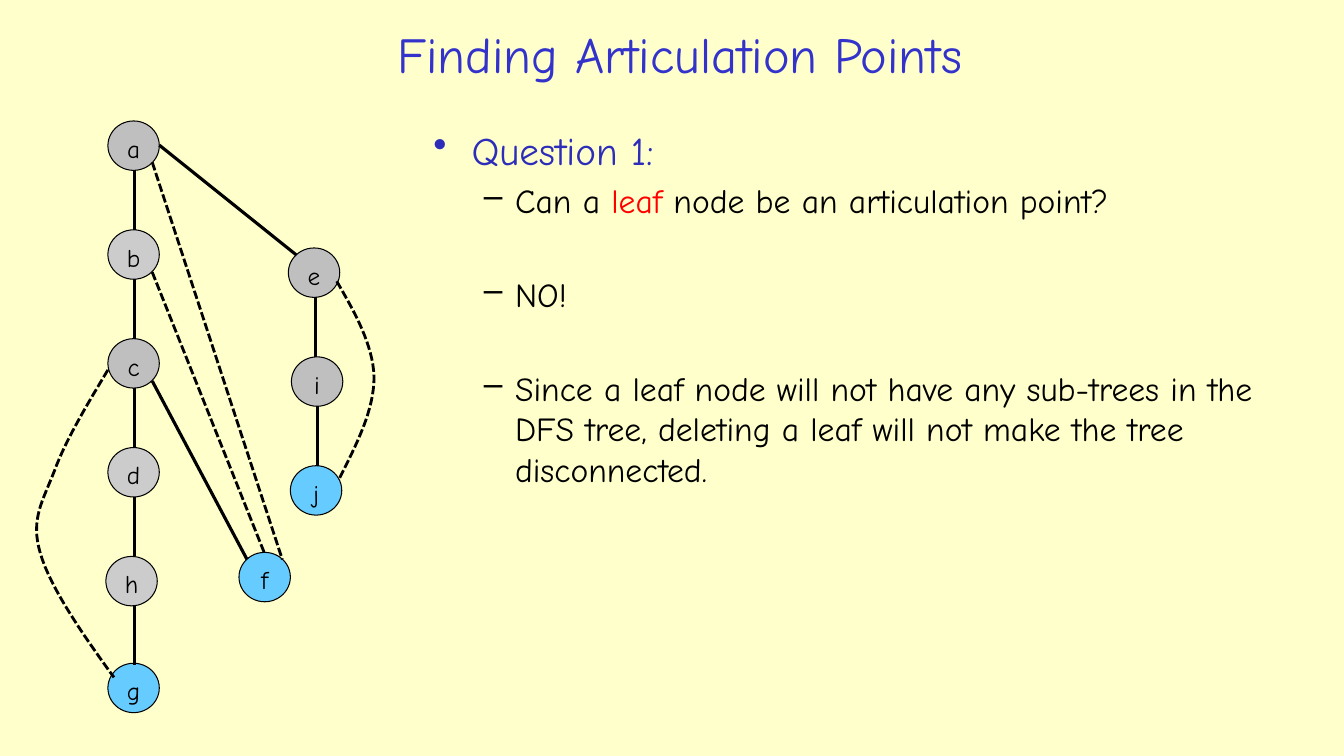
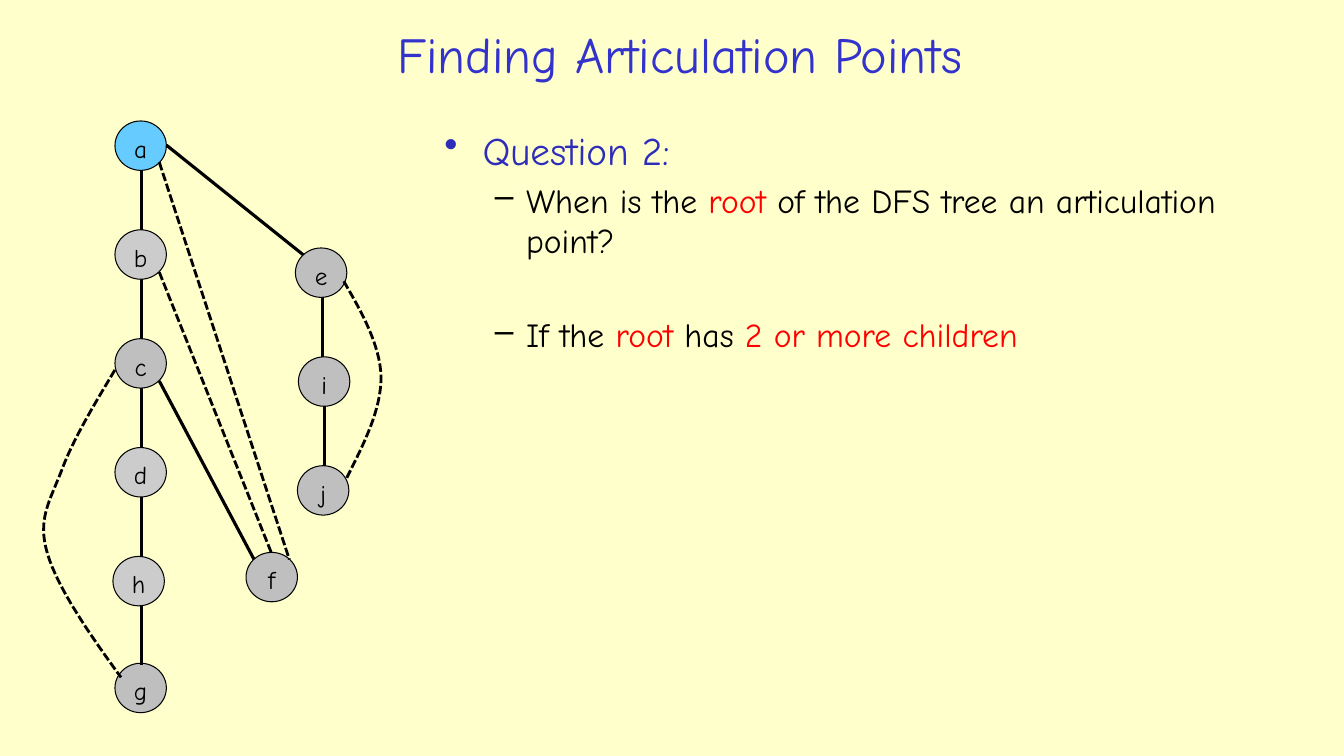
from pptx import Presentation
from pptx.dml.color import RGBColor
from pptx.enum.dml import MSO_LINE
from pptx.enum.shapes import MSO_CONNECTOR, MSO_SHAPE
from pptx.enum.text import MSO_ANCHOR, PP_ALIGN
from pptx.oxml.ns import qn
from pptx.util import Inches, Pt
from lxml.etree import SubElement

FONT = "Comic Neue"
CREAM, TITLE_BLUE, HEADING_BLUE = "FFFFCC", "3333CC", "2D2DB9"
BLACK, RED = "000000", "FF0000"
GRAY, LIGHT_GRAY, SKY = "BFBFBF", "CCCCCC", "66CCFF"

NODE_WIDTH, NODE_HEIGHT = 0.51, 0.49
TRUNK_LEFT, TRUNK_X, TRUNK_TOP, ROW_STEP = 1.07, 1.33, 1.2, 1.08
NODES = {
    **{name: (TRUNK_LEFT, TRUNK_TOP + row * ROW_STEP) for row, name in enumerate("abcd")},
    "h": (1.05, 5.52), "g": (TRUNK_LEFT, 6.58), "f": (2.37, 5.48),
    "e": (2.86, 2.46), "i": (2.89, 3.54), "j": (2.88, 4.62),
}
LIGHT_NODES = "bdh"
TREE_EDGES = [
    *(((TRUNK_X, TRUNK_TOP + row * ROW_STEP + NODE_HEIGHT),
       (TRUNK_X, TRUNK_TOP + (row + 1) * ROW_STEP)) for row in range(5)),
    ((1.51, 3.78), (2.45, 5.55)),
    ((1.58, 1.44), (2.94, 2.53)),
    ((3.13, 2.95), (3.13, 3.54)),
    ((3.15, 4.03), (3.15, 4.62)),
]
BACK_EDGES = [((1.51, 2.7), (2.62, 5.48)), ((1.51, 1.61), (2.8, 5.55))]
# Each curve is a start point followed by cubic segments: two controls, one end.
BACK_CURVES = [
    ((1.07, 3.67), [((0.86, 4.02), (0.65, 4.37), (0.54, 4.67)),
                    ((0.42, 4.98), (0.3, 5.15), (0.4, 5.49)),
                    ((0.5, 5.83), (0.81, 6.28), (1.13, 6.72))]),
    ((3.34, 2.79), [((3.52, 3.1), (3.7, 3.42), (3.71, 3.74)),
                    ((3.71, 4.07), (3.54, 4.4), (3.37, 4.74))]),
]
CURVE_STEPS = 16

HEADING = {"level": 0, "margin": 0.38, "indent": -0.38, "bullet": "•", "size": 28}
ITEM = {"level": 1, "margin": 0.81, "indent": -0.31, "bullet": "–", "size": 24}
TIGHT, LOOSE = 4.8, 38.4

SLIDES = [
    {"shift": 0, "highlighted": "gfj", "text_left": 4.2, "question": "Question 1:",
     "items": [
         (TIGHT, [("Can a ", BLACK), ("leaf", RED),
                  (" node be an articulation point?", BLACK)]),
         (LOOSE, [("NO!", BLACK)]),
         (LOOSE, [("Since a leaf node will not have any sub-trees in the DFS tree, "
                   "deleting a leaf will not make the tree disconnected.", BLACK)]),
     ]},
    {"shift": 0.07, "highlighted": "a", "text_left": 4.31, "question": "Question 2:",
     "items": [
         (TIGHT, [("When is the ", BLACK), ("root", RED),
                  (" of the DFS tree an articulation point?", BLACK)]),
         (LOOSE, [("If the ", BLACK), ("root", RED), (" has ", BLACK),
                  ("2 or more children", RED)]),
     ]},
]


def color(hex_value):
    return RGBColor.from_string(hex_value)


def add_span(para, text, size, hex_value):
    span = para.add_run()
    span.text = text
    for name, value in {"name": FONT, "size": Pt(size)}.items():
        setattr(span.font, name, value)
    span.font.color.rgb = color(hex_value)


def style_line(line, width, dashed=False):
    line.color.rgb = color(BLACK)
    line.width = Pt(width)
    if dashed:
        line.dash_style = MSO_LINE.SQUARE_DOT


def place(shape, left, top, width, height):
    sides = {"left": left, "top": top, "width": width, "height": height}
    for name, value in sides.items():
        setattr(shape, name, Inches(value))


def add_title(page, text):
    title = page.shapes.title
    place(title, 1.97, 0.15, 9.54, 0.76)
    title.text_frame.vertical_anchor = MSO_ANCHOR.MIDDLE
    para = title.text_frame.paragraphs[0]
    para.alignment = PP_ALIGN.CENTER
    add_span(para, text, 36, TITLE_BLUE)


def add_node(page, name, left, top, fill):
    node = page.shapes.add_shape(MSO_SHAPE.OVAL, Inches(left), Inches(top),
                                 Inches(NODE_WIDTH), Inches(NODE_HEIGHT))
    node.shadow.inherit = False
    node.fill.solid()
    node.fill.fore_color.rgb = color(fill)
    style_line(node.line, 0.75)
    frame = node.text_frame
    frame.word_wrap = False
    frame.vertical_anchor = MSO_ANCHOR.TOP
    para = frame.paragraphs[0]
    para.alignment = PP_ALIGN.CENTER
    add_span(para, name, 18, BLACK)


def add_edge(page, start, end, shift, dashed=False):
    edge = page.shapes.add_connector(
        MSO_CONNECTOR.STRAIGHT, Inches(start[0] + shift), Inches(start[1]),
        Inches(end[0] + shift), Inches(end[1]))
    style_line(edge.line, 2 if dashed else 2.25, dashed)
    SubElement(edge._element.spPr, qn("a:effectLst"))


def curve_points(start, segments):
    """Return points along the cubic segments, without the start."""
    points = []
    for first, second, end in segments:
        for step in range(1, CURVE_STEPS + 1):
            t = step / CURVE_STEPS
            weights = ((1 - t) ** 3, 3 * t * (1 - t) ** 2, 3 * t ** 2 * (1 - t), t ** 3)
            corners = (start, first, second, end)
            points.append(tuple(sum(weight * corner[axis]
                                    for weight, corner in zip(weights, corners))
                                for axis in (0, 1)))
        start = end
    return points


def add_back_curve(page, start, segments, shift):
    builder = page.shapes.build_freeform(Inches(start[0] + shift), Inches(start[1]))
    builder.add_line_segments([(Inches(x + shift), Inches(y))
                               for x, y in curve_points(start, segments)], close=False)
    curve = builder.convert_to_shape()
    curve.shadow.inherit = False
    curve.fill.background()
    style_line(curve.line, 2, dashed=True)


def add_tree(page, shift, highlighted):
    for name, (left, top) in NODES.items():
        fill = SKY if name in highlighted else LIGHT_GRAY if name in LIGHT_NODES else GRAY
        add_node(page, name, left + shift, top, fill)
    for start, end in TREE_EDGES:
        add_edge(page, start, end, shift)
    for start, end in BACK_EDGES:
        add_edge(page, start, end, shift, dashed=True)
    for start, segments in BACK_CURVES:
        add_back_curve(page, start, segments, shift)


def fill_bullet(para, style, spans, space_before=0):
    para.level = style["level"]
    para.space_before = Pt(space_before)
    properties = para._p.get_or_add_pPr()
    properties.set("marL", str(Inches(style["margin"])))
    properties.set("indent", str(Inches(style["indent"])))
    SubElement(properties, qn("a:buChar"), char=style["bullet"])
    for text, hex_value in spans:
        add_span(para, text, style["size"], hex_value)


def add_question(page, left, question, items):
    box = page.shapes.add_textbox(Inches(left), Inches(1.2), Inches(8.5), Inches(5.67))
    frame = box.text_frame
    frame.word_wrap = True
    fill_bullet(frame.paragraphs[0], HEADING, [(question, HEADING_BLUE)])
    for space_before, spans in items:
        fill_bullet(frame.add_paragraph(), ITEM, spans, space_before)


def main():
    deck = Presentation()
    deck.slide_width, deck.slide_height = Inches(13.33), Inches(7.5)
    background = deck.slide_master.background.fill
    background.solid()
    background.fore_color.rgb = color(CREAM)
    for content in SLIDES:
        page = deck.slides.add_slide(deck.slide_layouts[5])
        add_title(page, "Finding Articulation Points")
        add_tree(page, content["shift"], content["highlighted"])
        add_question(page, content["text_left"], content["question"], content["items"])
    deck.save("out.pptx")


if __name__ == "__main__":
    main()
